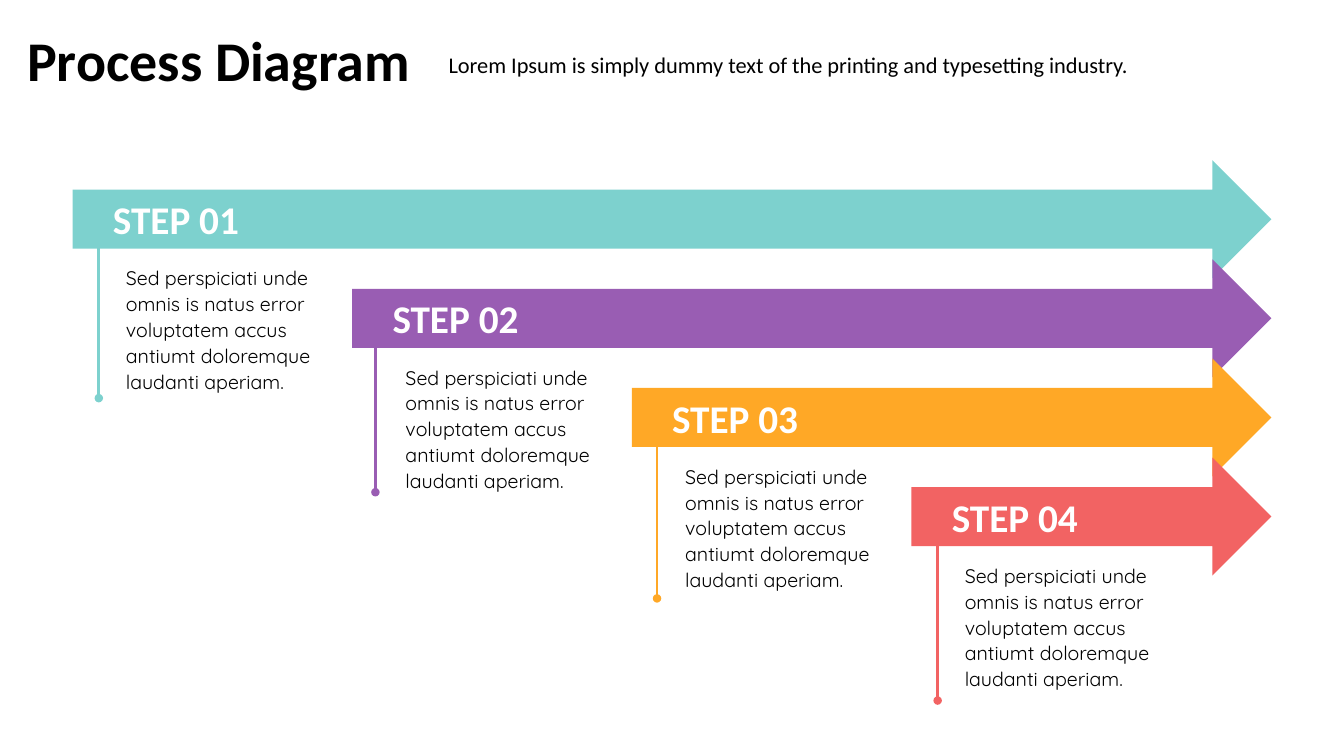
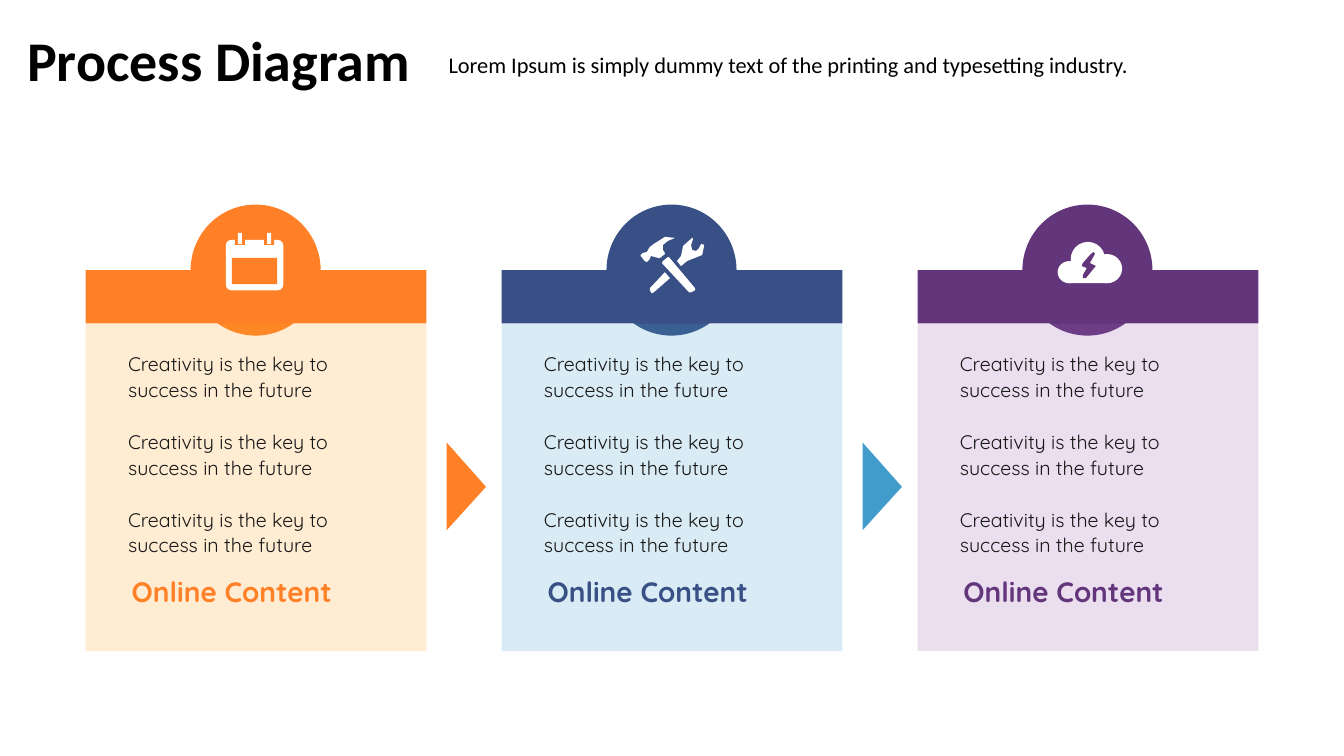
from lxml import etree
from pptx import Presentation
from pptx import util as u
from pptx.dml.color import RGBColor
from pptx.enum import shapes, text
from pptx.oxml.ns import qn

WIDTH, HEIGHT = 13.33, 7.5
BLACK, WHITE, INK = "000000", "FFFFFF", "181717"
HEAD_FONT, BODY_FONT = "Calibri", "Quicksand"
SHAPE = shapes.MSO_SHAPE
LEFT, CENTER = text.PP_ALIGN.LEFT, text.PP_ALIGN.CENTER
TOP, MIDDLE = text.MSO_ANCHOR.TOP, text.MSO_ANCHOR.MIDDLE

TITLE = "Process Diagram"
SUBTITLE = "Lorem Ipsum is simply dummy text of the printing and typesetting industry."
STEP_TEXT = ("Sed perspiciati unde omnis is natus error voluptatem accus "
             "antiumt doloremque laudanti aperiam.")
CARD_LINES = ["Creativity is the key to success in the future"] * 3

# Colour, then the start of the stem measured from the arrow's corner
STEPS = [("7DD1CE", 0.26, 0.64), ("995DB3", 0.23, 0.59),
         ("FFA826", 0.25, 0.66), ("F26363", 0.26, 0.69)]

# Icon outlines in hundredths of an inch from the centre of the badge
TOOL_PARTS = [
    [(-21, -14), (-13, -12), (-12, -12), (-7, -16), (-7, -17), (-9, -20),
     (-9, -25), (-4, -29), (3, -32), (-7, -33), (-18, -26), (-22, -23),
     (-25, -18), (-29, -17), (-31, -15), (-31, -14), (-27, -9), (-25, -8),
     (-22, -11)],
    [(-3, -13), (-4, -13), (-9, -9), (-10, -7), (17, 22), (19, 22), (23, 20),
     (23, 18)],
    [(32, -25), (29, -26), (27, -22), (24, -19), (20, -20), (19, -25),
     (21, -31), (20, -32), (11, -24), (9, -14), (5, -9), (9, -4), (15, -9),
     (20, -11), (30, -15)],
    [(-22, 18), (-22, 20), (-20, 23), (-18, 22), (-2, 8), (-7, 2)],
]
BOLT = [(7, -3), (-2, 8), (-5, 8), (-5, 5), (-1, -2), (-6, -4), (-5, -7),
        (3, -16), (6, -18), (7, -16), (2, -7), (8, -4)]


def rgb(color):
    return RGBColor.from_string(color)


def paint(sp, color, alpha=None):
    """Flat fill without outline or shadow; alpha is a percentage."""
    sp.shadow.inherit = False
    sp.fill.solid()
    sp.fill.fore_color.rgb = rgb(color)
    sp.line.fill.background()
    if alpha:
        clr = sp._element.spPr.find(qn("a:solidFill")).find(qn("a:srgbClr"))
        etree.SubElement(clr, qn("a:alpha"), val=str(alpha * 1000))
    return sp


def add_block(slide, preset, x, y, w, h, color, alpha=None):
    box = map(u.Inches, (x, y, w, h))
    return paint(slide.shapes.add_shape(preset, *box), color, alpha)


def add_polygon(slide, x, y, points, color):
    """Closed outline; points are hundredths of an inch from (x, y)."""
    builder = slide.shapes.build_freeform(*points[0], scale=u.Inches(0.01))
    builder.add_line_segments(points[1:], close=True)
    return paint(builder.convert_to_shape(u.Inches(x), u.Inches(y)), color)


def write(sp, lines, size, color, font=BODY_FONT, bold=False, align=LEFT,
          anchor=TOP, wrap=True, insets=(0.1, 0.05, 0.1, 0.05),
          spacing=1.0, gap=0):
    tf = sp.text_frame
    tf.auto_size = text.MSO_AUTO_SIZE.NONE
    tf.word_wrap, tf.vertical_anchor = wrap, anchor
    (tf.margin_left, tf.margin_top,
     tf.margin_right, tf.margin_bottom) = map(u.Inches, insets)
    for i, line in enumerate(lines):
        p = tf.add_paragraph() if i else tf.paragraphs[0]
        p.text, p.alignment, p.line_spacing = line, align, spacing
        if i:
            p.space_before = u.Pt(gap)
        p.font.name, p.font.size, p.font.bold = font, u.Pt(size), bold
        p.font.color.rgb = rgb(color)


def add_text(slide, x, y, w, h, lines, size, color, **style):
    sp = slide.shapes.add_textbox(*map(u.Inches, (x, y, w, h)))
    write(sp, lines, size, color, **style)


def add_slide(prs):
    """New slide with the shared title and subtitle."""
    slide = prs.slides.add_slide(prs.slide_layouts[5])
    title = slide.shapes.title
    title.left, title.top, title.width, title.height = map(
        u.Inches, (0.17, 0.2, 4.04, 0.77))
    write(title, [TITLE], 40, BLACK, font=HEAD_FONT, bold=True, wrap=False)
    add_text(slide, 4.22, 0.46, 7.2, 0.37, [SUBTITLE], 16, BLACK,
             font=HEAD_FONT, align=CENTER, wrap=False)
    return slide


def add_stem(slide, x, y, length, color):
    """Vertical line ending in a dot."""
    line = slide.shapes.add_connector(
        shapes.MSO_CONNECTOR.STRAIGHT,
        *map(u.Inches, (x, y, x, y + length)))
    line.line.color.rgb = rgb(color)
    line.line.width = u.Pt(2)
    sp_pr = line._element.spPr
    etree.SubElement(sp_pr.find(qn("a:ln")), qn("a:tailEnd"), type="oval")
    etree.SubElement(sp_pr, qn("a:effectLst"))


def add_step(slide, x, y, w, h, label, color, stem_x, stem_y):
    arrow = add_block(slide, SHAPE.RIGHT_ARROW, x, y, w, h, color)
    write(arrow, [label], 28, WHITE, font=HEAD_FONT, bold=True,
          anchor=MIDDLE, insets=(0.4, 0, 0.2, 0))
    add_text(slide, x + 0.43, y + 0.98, 2.51, 1.38, [STEP_TEXT], 14, BLACK,
             spacing=1.1)
    add_stem(slide, x + stem_x, y + stem_y, 1.72, color)


def build_steps(prs):
    slide = add_slide(prs)
    left, right, top = 0.72, 12.61, 1.59
    dx, dy = (9.04 - left) / 3, (4.54 - top) / 3
    for i, (color, stem_x, stem_y) in enumerate(STEPS):
        x = left + i * dx
        add_step(slide, x, top + i * dy, right - x, 1.17,
                 f"STEP {i + 1:02}", color, stem_x, stem_y)


def draw_calendar(slide, cx, cy, color):
    add_block(slide, SHAPE.ROUNDED_RECTANGLE, cx - 0.3, cy - 0.3, 0.57, 0.5,
              WHITE).adjustments[0] = 0.11
    add_block(slide, SHAPE.RECTANGLE, cx - 0.24, cy - 0.12, 0.45, 0.26, color)
    for ring_x in (cx - 0.16, cx + 0.13):
        add_block(slide, SHAPE.RECTANGLE, ring_x - 0.05, cy - 0.31, 0.1, 0.06,
                  color)
        add_block(slide, SHAPE.RECTANGLE, ring_x - 0.02, cy - 0.37, 0.04, 0.11,
                  WHITE)


def draw_tools(slide, cx, cy, color):
    for part in TOOL_PARTS:
        add_polygon(slide, cx, cy, part, WHITE)


def draw_cloud(slide, cx, cy, color):
    for x, y, w, h in [(-0.3, -0.09, 0.23, 0.22), (-0.17, -0.28, 0.34, 0.34),
                       (0.04, -0.16, 0.3, 0.29)]:
        add_block(slide, SHAPE.OVAL, cx + x, cy + y, w, h, WHITE)
    add_block(slide, SHAPE.RECTANGLE, cx - 0.19, cy - 0.06, 0.38, 0.19, WHITE)
    add_polygon(slide, cx, cy, BOLT, color)


def add_card(slide, x, y, w, h, color, tint, draw_icon):
    """Card whose header band starts at y, with a badge centred on that edge."""
    band_h = 0.53
    cx = x + w / 2
    add_block(slide, SHAPE.OVAL, cx - 0.65, y - 0.65, 1.29, 1.3, color)
    add_block(slide, SHAPE.RECTANGLE, x, y + band_h, w, h - band_h, tint, 20)
    add_block(slide, SHAPE.RECTANGLE, x, y, w, band_h, color)
    add_text(slide, x + 0.18, y + 0.67, w - 0.36, 2.29, CARD_LINES, 14, INK,
             insets=(0.24, 0.12, 0.24, 0.12), spacing=1.1, gap=18.5)
    add_text(slide, x + 0.43, y + 3.02, 2.04, 0.34, ["Online Content"], 20,
             color, bold=True, align=CENTER, wrap=False, insets=(0, 0, 0, 0))
    draw_icon(slide, cx, y, color)


def build_cards(prs):
    slide = add_slide(prs)
    margin, card_w, top, card_h = 0.85, 3.38, 2.68, 3.78
    pitch = (WIDTH - 2 * margin - card_w) / 2
    cards = [("FF8026", "FFA826", draw_calendar, "FF8026"),
             ("385085", "419CCC", draw_tools, "419CCC"),
             ("63357A", "995DB3", draw_cloud, None)]
    for i, (color, tint, draw_icon, pointer) in enumerate(cards):
        x = margin + i * pitch
        add_card(slide, x, top, card_w, card_h, color, tint, draw_icon)
        if pointer:
            add_polygon(slide, x + card_w + 0.2, top + 1.71,
                        [(0, 0), (39, 44), (0, 87)], pointer)


def main():
    prs = Presentation()
    prs.slide_width, prs.slide_height = u.Inches(WIDTH), u.Inches(HEIGHT)
    build_steps(prs)
    build_cards(prs)
    prs.save("out.pptx")


if __name__ == "__main__":
    main()
